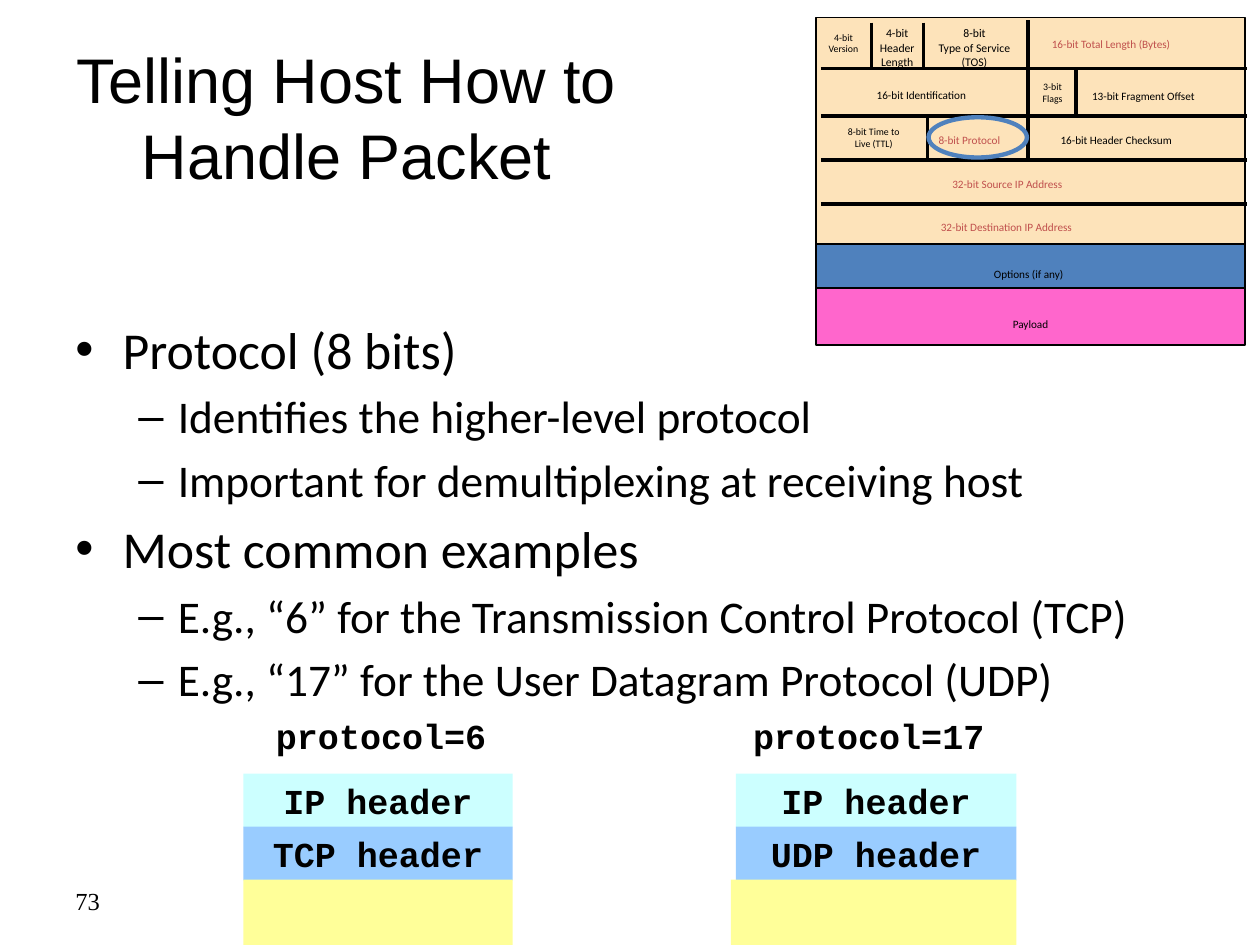
import pptx
import pptx.dml.color
import pptx.enum.shapes
import pptx.enum.text
import pptx.oxml.ns
import pptx.util
from lxml import etree

Pt = pptx.util.Pt
ALIGN = pptx.enum.text.PP_ALIGN
ANCHOR = pptx.enum.text.MSO_ANCHOR
SHAPE = pptx.enum.shapes.MSO_SHAPE
BLACK, RED, BLUE = "000000", "C0504D", "4F81BD"


def color(hex_value):
    return pptx.dml.color.RGBColor.from_string(hex_value)


def set_bullet(paragraph, char, left, hanging):
    properties = paragraph._p.get_or_add_pPr()
    properties.set("marL", str(Pt(left)))
    properties.set("indent", str(-Pt(hanging)))
    bullet_font = etree.SubElement(properties, pptx.oxml.ns.qn("a:buFont"))
    bullet_font.set("typeface", "Arial")
    bullet = etree.SubElement(properties, pptx.oxml.ns.qn("a:buChar"))
    bullet.set("char", char)


def format_paragraph(paragraph, text, font="Calibri", size=20, bold=False,
                     fill=BLACK, align=ALIGN.LEFT, before=0):
    paragraph.text = text
    paragraph.alignment = align
    paragraph.space_before = Pt(before)
    paragraph.font.name = font
    paragraph.font.size = Pt(size)
    paragraph.font.bold = bold
    paragraph.font.color.rgb = color(fill)


def write(frame, text, wrap=True, anchor=ANCHOR.TOP, **style):
    """Write one paragraph for each line of text."""
    frame.word_wrap = wrap
    frame.vertical_anchor = anchor
    for number, line in enumerate(text.split("\n")):
        paragraph = frame.add_paragraph() if number else frame.paragraphs[0]
        format_paragraph(paragraph, line, **style)


def add_text(slide, box, text, **style):
    frame = slide.shapes.add_textbox(*map(Pt, box)).text_frame
    write(frame, text, **style)


def add_block(slide, box, fill=None, line=None, weight=1, kind=SHAPE.RECTANGLE):
    block = slide.shapes.add_shape(kind, *map(Pt, box))
    block.shadow.inherit = False
    if fill:
        block.fill.solid()
        block.fill.fore_color.rgb = color(fill)
    else:
        block.fill.background()
    if line:
        block.line.color.rgb = color(line)
        block.line.width = Pt(weight)
    else:
        block.line.fill.background()
    return block


def add_rule(slide, x1, y1, x2, y2):
    rule = slide.shapes.add_connector(
        pptx.enum.shapes.MSO_CONNECTOR.STRAIGHT, Pt(x1), Pt(y1), Pt(x2), Pt(y2))
    rule.line.color.rgb = color(BLACK)
    rule.line.width = Pt(2)
    etree.SubElement(rule._element.spPr, pptx.oxml.ns.qn("a:effectLst"))


def add_title(slide, left, top, width, height):
    title = slide.shapes.title
    title.left, title.top, title.width, title.height = map(
        Pt, (left, top, width, height))
    frame = title.text_frame
    frame.margin_left = frame.margin_right = 0
    write(frame, "Telling Host How to Handle Packet", font="Arial", size=36,
          align=ALIGN.CENTER, anchor=ANCHOR.MIDDLE)


def add_body(slide, box):
    points = [
        (0, "Protocol (8 bits)"),
        (1, "Identifies the higher-level protocol"),
        (1, "Important for demultiplexing at receiving host"),
        (0, "Most common examples"),
        (1, "E.g., “6” for the Transmission Control Protocol (TCP)"),
        (1, "E.g., “17” for the User Datagram Protocol (UDP)"),
    ]
    levels = [("•", 27, 27, 29.6, 5.9), ("–", 58.5, 22.5, 25.9, 5.2)]
    frame = slide.shapes.add_textbox(*map(Pt, box)).text_frame
    frame.word_wrap = True
    for number, (level, text) in enumerate(points):
        paragraph = frame.add_paragraph() if number else frame.paragraphs[0]
        char, left, hanging, size, before = levels[level]
        paragraph.level = level
        set_bullet(paragraph, char, left, hanging)
        format_paragraph(paragraph, text, size=size, before=before if number else 0)


def add_ip_header(slide, left, top, width):
    for y, height, fill in [(0, 129.6, "FDE3BA"), (129.4, 25.3, BLUE),
                            (154.7, 32.4, "FF66CC")]:
        add_block(slide, (left, top + y, width, height), fill, BLACK)

    for y in (29.2, 56.2, 81.4, 106.6):
        add_rule(slide, left + 2.6, top + y, left + width + 1, top + y)
    for x, start, end in [(121, 1.5, 80.7), (61.3, 3, 28.2), (31.4, 3, 28.2),
                          (148.4, 29.6, 55.5), (63.4, 57, 80.7)]:
        add_rule(slide, left + x, top + start, left + x, top + end)

    small = {"size": 5.6, "align": ALIGN.CENTER}
    stacked = {"size": 6.7, "align": ALIGN.CENTER}
    plain = {"size": 6.4}
    key = {"size": 6.4, "fill": RED}
    fields = [
        (-1.4, 4.4, 33.8, "4-bit\nVersion", small),
        (26.2, 1.5, 40, "4-bit\nHeader\nLength", stacked),
        (57.4, 1.5, 66, "8-bit\nType of Service\n(TOS)", stacked),
        (127.5, 8, 112.3, "16-bit Total Length (Bytes)", key),
        (27.4, 36.8, 77, "16-bit Identification", plain),
        (120, 32.5, 30, "3-bit\nFlags", small),
        (150.5, 37.5, 90.7, "13-bit Fragment Offset", plain),
        (6.5, 58.4, 52.6, "8-bit Time to\nLive (TTL)", small),
        (62.7, 62.7, 61.2, "8-bit Protocol", key),
        (132.5, 62.7, 99.4, "16-bit Header Checksum", plain),
        (70.6, 87.9, 105.8, "32-bit Source IP Address", key),
        (64.1, 112.4, 122.4, "32-bit Destination IP Address", key),
        (94.4, 139, 63.4, "Options (if any)", plain),
        (105.2, 167.8, 37.4, "Payload", plain),
    ]
    heights = {1: 13, 2: 20, 3: 28}
    for x, y, field_width, text, style in fields:
        height = heights[text.count("\n") + 1]
        add_text(slide, (left + x, top + y, field_width, height), text,
                 wrap=False, **style)

    add_block(slide, (left + 64.1, top + 57, 56.2, 23), line=BLUE, weight=2.5,
              kind=SHAPE.OVAL)


def add_packet(slide, left, top, width, protocol, transport, label_box, overhang=0):
    """Stack the headers of one packet over its payload, under a label."""
    code = {"font": "Courier New", "bold": True, "align": ALIGN.CENTER}
    row = 30.3
    headers = [("IP header", "CCFFFF"), (f"{transport} header", "99CCFF")]
    for number, (text, fill) in enumerate(headers):
        block = add_block(slide, (left, top + number * row, width, row + 0.5), fill)
        write(block.text_frame, text, **code)
    payload_top = top + len(headers) * row
    add_block(slide, (left - overhang, payload_top, width + overhang,
                      540 - payload_top), "FFFF99")
    label_left, label_width = label_box
    add_text(slide, (label_left, top - 37.4, label_width, 31),
             f"protocol={protocol}", wrap=False, **code)


def main():
    deck = pptx.Presentation()
    deck.slide_width, deck.slide_height = Pt(720), Pt(540)
    slide = deck.slides.add_slide(deck.slide_layouts[5])
    add_title(slide, 36, 21.6, 324, 90)
    add_text(slide, (36, 500.4, 168, 28.8), "73", font="Times New Roman", size=14,
             anchor=ANCHOR.MIDDLE)
    add_body(slide, (36, 177.8, 666, 225.4))
    add_packet(slide, 139, 442, 154, 6, "TCP", (147.8, 140))
    add_packet(slide, 420.5, 442, 160.3, 17, "UDP", (420.5, 152), overhang=2.9)
    add_ip_header(slide, 466.5, 10, 245.2)
    deck.save("out.pptx")


if __name__ == "__main__":
    main()
